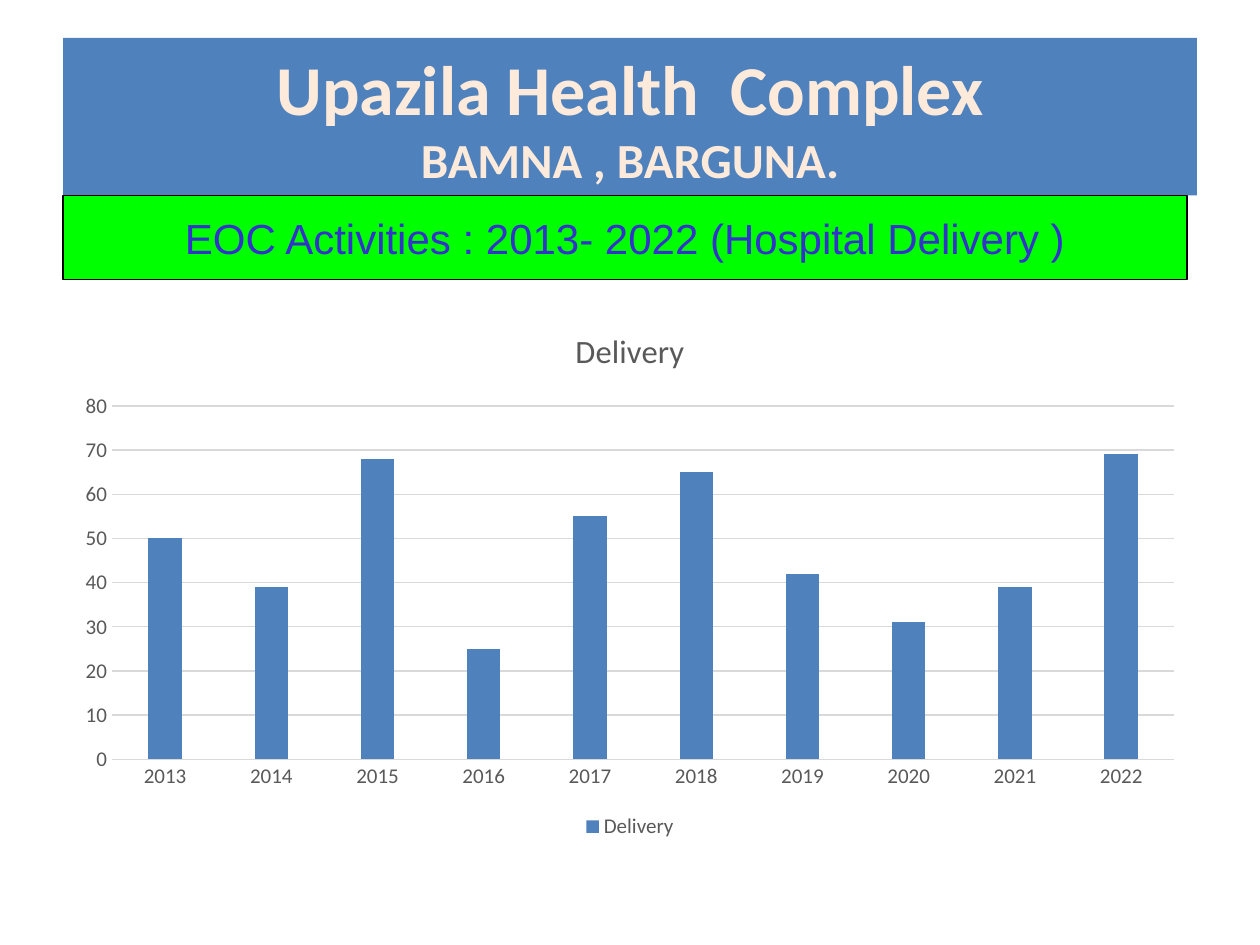
from pptx import Presentation
from pptx.chart.data import CategoryChartData
from pptx.dml.color import RGBColor
from pptx.enum.chart import XL_CHART_TYPE, XL_LEGEND_POSITION, XL_TICK_MARK
from pptx.enum.shapes import MSO_SHAPE
from pptx.enum.text import MSO_ANCHOR, PP_ALIGN
from pptx.util import Inches, Pt

BLUE, GREY, RULE = "4F81BD", "595959", "D9D9D9"
LEFT, WIDTH = Inches(0.5), Inches(9)


def rgb(color):
    return RGBColor.from_string(color)


def style(font, size, color, name="Calibri", bold=False):
    font.size, font.name, font.bold = Pt(size), name, bold
    font.color.rgb = rgb(color)


prs = Presentation()
prs.slide_width, prs.slide_height = Inches(10), Inches(7.5)
s = prs.slides.add_slide(prs.slide_layouts[5])

# Title band
title = s.shapes.title
title.left, title.top, title.width, title.height = LEFT, Inches(0.3), WIDTH, Inches(1.25)
title.fill.solid()
title.fill.fore_color.rgb = rgb(BLUE)
tf = title.text_frame
tf.vertical_anchor = MSO_ANCHOR.MIDDLE
p = tf.paragraphs[0]
p.alignment = PP_ALIGN.CENTER
r = p.add_run()
r.text = "Upazila Health  Complex"
style(r.font, 40, "FDEADA", bold=True)
p.add_line_break()
r = p.add_run()
r.text = "BAMNA , BARGUNA."
style(r.font, 28, "FDEADA", bold=True)

# Subtitle band directly below the title
sp = s.shapes.add_shape(MSO_SHAPE.RECTANGLE, LEFT, title.top + title.height,
                        Inches(8.92), Inches(0.67))
sp.shadow.inherit = False
sp.fill.solid()
sp.fill.fore_color.rgb = rgb("00FF00")
sp.line.color.rgb = rgb("000000")
sp.line.width = Pt(0.75)
tf = sp.text_frame
tf.word_wrap = True
tf.vertical_anchor = MSO_ANCHOR.MIDDLE
p = tf.paragraphs[0]
p.alignment = PP_ALIGN.CENTER
r = p.add_run()
r.text = "EOC Activities : 2013- 2022 (Hospital Delivery )"
style(r.font, 24, "3333CC", "Arial")

# Deliveries per year
data = CategoryChartData()
data.categories = [str(year) for year in range(2013, 2023)]
data.add_series("Delivery", (50, 39, 68, 25, 55, 65, 42, 31, 39, 69))
chart = s.shapes.add_chart(XL_CHART_TYPE.COLUMN_CLUSTERED, LEFT, Inches(2.42),
                           WIDTH, Inches(4.28), data).chart
style(chart.font, 10, "000000")

chart.has_title = True
p = chart.chart_title.text_frame.paragraphs[0]
r = p.add_run()
r.text = "Delivery"
style(r.font, 18.6, GREY)
chart.chart_title.include_in_layout = False

chart.has_legend = True
chart.legend.position = XL_LEGEND_POSITION.BOTTOM
chart.legend.include_in_layout = False
style(chart.legend.font, 12, GREY)

# Columns
plot = chart.plots[0]
plot.gap_width, plot.overlap, plot.vary_by_categories = 219, -27, False
fill = plot.series[0].format.fill
fill.solid()
fill.fore_color.rgb = rgb(BLUE)

# Axes and gridlines
for axis in (chart.category_axis, chart.value_axis):
    axis.major_tick_mark = axis.minor_tick_mark = XL_TICK_MARK.NONE
    style(axis.tick_labels.font, 12, GREY)
chart.value_axis.format.line.fill.background()
chart.value_axis.has_major_gridlines = True
for line in (chart.category_axis.format.line, chart.value_axis.major_gridlines.format.line):
    line.color.rgb = rgb(RULE)
    line.width = Pt(0.75)

prs.save("out.pptx")
